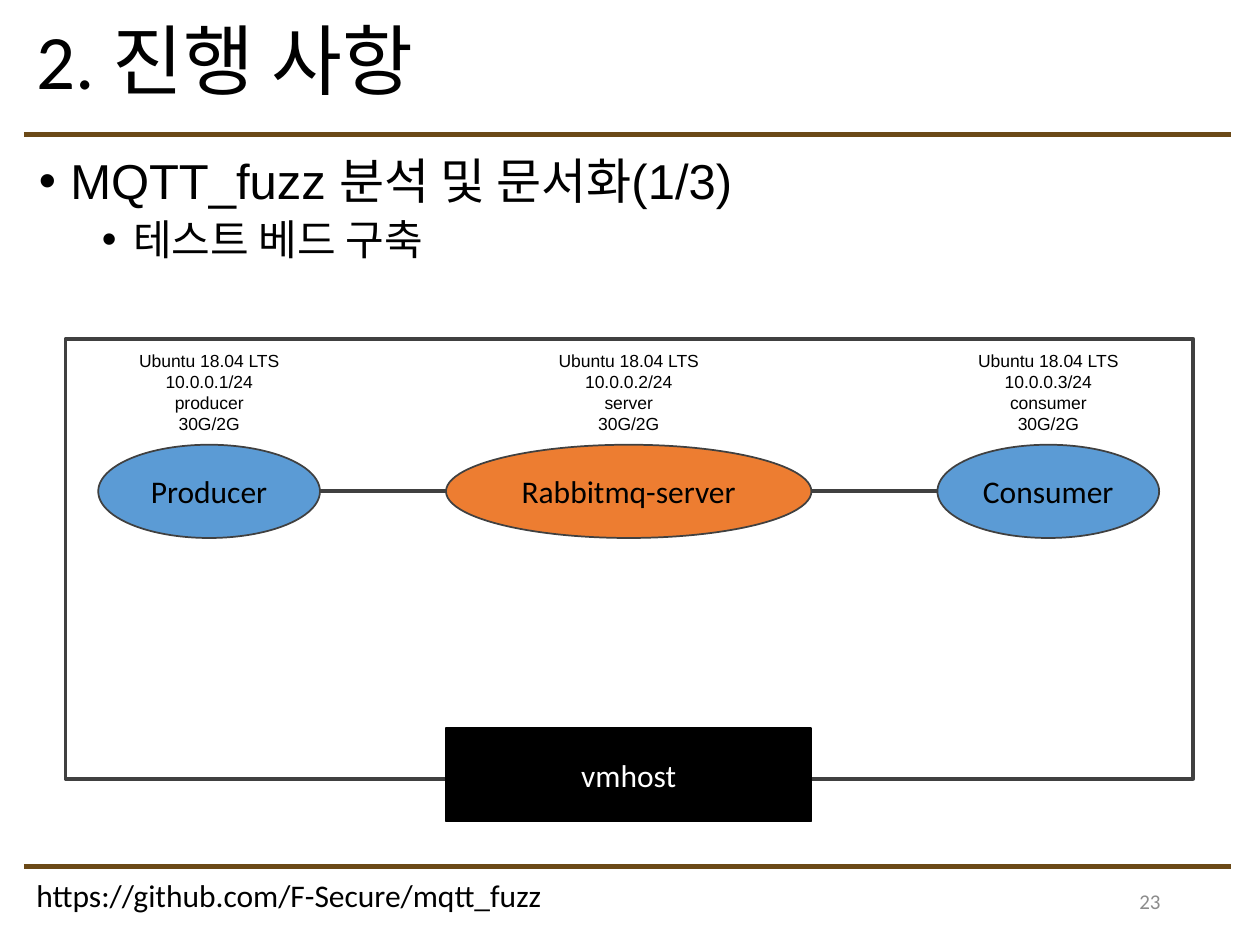
"""Builds the MQTT_fuzz test bed slide."""
from lxml import etree
from pptx import Presentation
from pptx.dml.color import RGBColor
from pptx.enum import shapes, text
from pptx.oxml import ns
from pptx.util import Inches, Pt

BLACK = RGBColor(0x00, 0x00, 0x00)
WHITE = RGBColor(0xFF, 0xFF, 0xFF)
GRAY = RGBColor(0x8C, 0x8C, 0x8C)
DARK = RGBColor(0x40, 0x40, 0x40)
BROWN = RGBColor(0x6B, 0x49, 0x17)
BLUE = RGBColor(0x5B, 0x9B, 0xD5)
ORANGE = RGBColor(0xED, 0x7D, 0x31)

LEFT, CENTER, RIGHT = text.PP_ALIGN.LEFT, text.PP_ALIGN.CENTER, text.PP_ALIGN.RIGHT
TOP, MIDDLE = text.MSO_ANCHOR.TOP, text.MSO_ANCHOR.MIDDLE
OVAL, RECT = shapes.MSO_SHAPE.OVAL, shapes.MSO_SHAPE.RECTANGLE

TITLE = "2. 진행 사항"
BULLETS = [("MQTT_fuzz 분석 및 문서화(1/3)", 28, 0.25, 0),
           ("테스트 베드 구축", 24, 0.75, 5)]
SOURCE = "https://github.com/F-Secure/mqtt_fuzz"
PAGE = "23"
HOST = "vmhost"
NODES = [("Producer", 1.76, BLUE, "10.0.0.1/24", "producer"),
         ("Rabbitmq-server", 2.9, ORANGE, "10.0.0.2/24", "server"),
         ("Consumer", 1.76, BLUE, "10.0.0.3/24", "consumer")]
SYSTEM, RESOURCES = "Ubuntu 18.04 LTS", "30G/2G"

RULES_Y = (1.07, 6.88)
NODE_LEFT, NODE_TOP, NODE_H, NODE_GAP = 0.78, 3.53, 0.74, 1.0
LABEL_W, LABEL_H, LABEL_TOP = 1.44, 0.77, 2.73
HOST_BOX = (3.54, 5.78, 2.9, 0.74)


def apply(obj, values):
    for name, value in values.items():
        setattr(obj, name, value)


def write(sp, lines, size, color=BLACK, font="Calibri", align=LEFT, anchor=TOP, wrap=True):
    tf = sp.text_frame
    apply(tf, {"word_wrap": wrap, "vertical_anchor": anchor,
               "auto_size": text.MSO_AUTO_SIZE.NONE})
    for i, line in enumerate(lines):
        p = tf.paragraphs[0] if i == 0 else tf.add_paragraph()
        p.alignment = align
        r = p.add_run()
        r.text = line
        apply(r.font, {"name": font, "size": Pt(size)})
        r.font.color.rgb = color
    return tf


def add_text(s, box, lines, size, **style):
    return write(s.shapes.add_textbox(*map(Inches, box)), lines, size, **style)


def add_box(s, kind, box, fill, line, width):
    sp = s.shapes.add_shape(kind, *map(Inches, box))
    sp.shadow.inherit = False
    if fill is None:
        sp.fill.background()
    else:
        sp.fill.solid()
        sp.fill.fore_color.rgb = fill
    sp.line.color.rgb = line
    sp.line.width = Pt(width)
    return sp


def add_line(s, x1, x2, y, color, width):
    c = s.shapes.add_connector(shapes.MSO_CONNECTOR.STRAIGHT,
                               *map(Inches, (x1, y, x2, y)))
    c.line.color.rgb = color
    c.line.width = Pt(width)
    etree.SubElement(c.element.spPr, ns.qn("a:effectLst"))


def add_title(s):
    sp = s.shapes.title
    box = map(Inches, (0.19, 0.05, 8, 0.93))
    apply(sp, dict(zip(("left", "top", "width", "height"), box)))
    tf = write(sp, [TITLE], 44, anchor=MIDDLE)
    tf.paragraphs[0].line_spacing = 0.9


def add_bullets(s):
    tf = add_text(s, (0.21, 1.2, 9.55, 1.1), [b[0] for b in BULLETS], 28, font="Arial")
    for p, (_, size, indent, before) in zip(tf.paragraphs, BULLETS):
        pPr = p._p.get_or_add_pPr()
        pPr.set("marL", str(Inches(indent)))
        pPr.set("indent", str(Inches(-0.25)))
        etree.SubElement(pPr, ns.qn("a:buFont"), typeface="Arial")
        etree.SubElement(pPr, ns.qn("a:buChar"), char="•")
        apply(p, {"line_spacing": 0.9, "space_before": Pt(before)})
        p.runs[0].font.size = Pt(size)


def add_nodes(s):
    x = NODE_LEFT
    for i, (name, width, fill, address, role) in enumerate(NODES):
        if i:
            add_line(s, x - NODE_GAP, x, NODE_TOP + NODE_H / 2, DARK, 2.25)
        sp = add_box(s, OVAL, (x, NODE_TOP, width, NODE_H), fill, DARK, 1)
        write(sp, [name], 18, align=CENTER, anchor=MIDDLE)
        label = (x + (width - LABEL_W) / 2, LABEL_TOP, LABEL_W, LABEL_H)
        add_text(s, label, [SYSTEM, address, role, RESOURCES], 10,
                 font="Arial", align=CENTER)
        x += width + NODE_GAP


def main():
    prs = Presentation()
    prs.slide_width, prs.slide_height = Inches(10), Inches(7.5)
    s = prs.slides.add_slide(prs.slide_layouts[5])
    for y in RULES_Y:
        add_line(s, 0.19, 9.77, y, BROWN, 3)
    add_title(s)
    add_bullets(s)
    add_text(s, (0.19, 6.9, 4.29, 0.4), [SOURCE], 18, wrap=False)
    add_nodes(s)
    add_box(s, RECT, (0.52, 2.69, 8.95, 3.49), None, DARK, 2.25)
    host = add_box(s, RECT, HOST_BOX, BLACK, BLACK, 1)
    write(host, [HOST], 18, color=WHITE, align=CENTER, anchor=MIDDLE)
    add_text(s, (7.06, 6.95, 2.25, 0.4), [PAGE], 12, color=GRAY,
             align=RIGHT, anchor=MIDDLE)
    prs.save("out.pptx")


if __name__ == "__main__":
    main()
